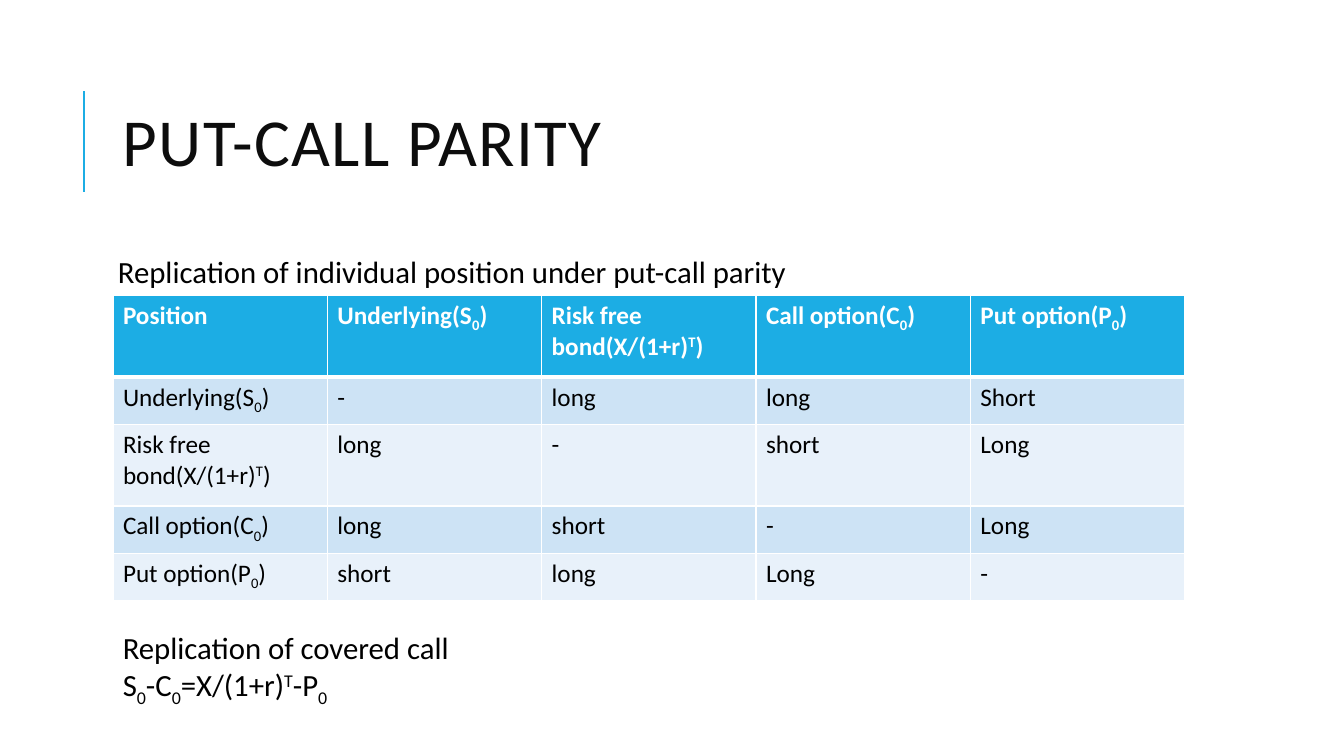
from lxml import etree
from pptx import Presentation
from pptx.dml.color import RGBColor
from pptx.enum.shapes import MSO_CONNECTOR
from pptx.enum.text import MSO_ANCHOR
from pptx.oxml.ns import qn
from pptx.util import Inches, Pt

FONT = "Calibri"
ACCENT, WHITE, BLACK, TITLE = "1CADE4", "FFFFFF", "000000", "0D0D0D"
BANDS = ("CDE3F5", "E8F1FA")
SHIFTS = {"_": "-25000", "^": "30000"}

# "_" lowers and "^" raises the character that follows
UNDERLYING, BOND = "Underlying(S_0)", "Risk free bond(X/(1+r)^T)"
CALL, PUT = "Call option(C_0)", "Put option(P_0)"
POSITIONS = [
    ["Position", UNDERLYING, BOND, CALL, PUT],
    [UNDERLYING, "-", "long", "long", "Short"],
    [BOND, "long", "-", "short", "Long"],
    [CALL, "long", "short", "-", "Long"],
    [PUT, "short", "long", "Long", "-"],
]
ROW_HEIGHTS = [0.81, 0.47, 0.81, 0.47, 0.47]


def rgb(value):
    return RGBColor.from_string(value)


def add_run(p, text, size, color, bold=False, shift=None):
    r = p.add_run()
    r.text = text
    r.font.name, r.font.size, r.font.bold = FONT, Pt(size), bold
    r.font.color.rgb = rgb(color)
    if shift:
        r.font._element.set("baseline", SHIFTS[shift])
    return r


def add_formula(p, text, size, color, bold=False):
    plain, shift = "", None
    for char in text:
        if char in SHIFTS:
            add_run(p, plain, size, color, bold)
            plain, shift = "", char
        elif shift:
            add_run(p, char, size, color, bold, shift)
            shift = None
        else:
            plain += char
    if plain:
        add_run(p, plain, size, color, bold)


def add_text_frame(slide, left, top, width, height):
    box = slide.shapes.add_textbox(*map(Inches, (left, top, width, height)))
    tf = box.text_frame
    tf.word_wrap = True
    return tf


def add_border(cell, side, points):
    ln = etree.SubElement(cell._tc.get_or_add_tcPr(), qn(f"a:ln{side}"), w=str(Pt(points)))
    fill = etree.SubElement(ln, qn("a:solidFill"))
    etree.SubElement(fill, qn("a:srgbClr"), val=WHITE)


def add_title(slide, left, top, width, height):
    # Accent rule beside the title
    x, y = left - 0.29, top + 0.26
    rule = slide.shapes.add_connector(
        MSO_CONNECTOR.STRAIGHT, Inches(x), Inches(y + 1), Inches(x), Inches(y))
    rule.line.color.rgb = rgb(ACCENT)
    rule.line.width = Pt(1.5)
    etree.SubElement(rule._element.spPr, qn("a:effectLst"))

    # Title text
    tf = add_text_frame(slide, left, top, width, height)
    tf.vertical_anchor = MSO_ANCHOR.MIDDLE
    p = tf.paragraphs[0]
    p.line_spacing = 0.8
    r = add_run(p, "PUT-CALL PARITY", 48, TITLE)
    r.font._element.set("spc", "100")


def add_intro(slide, left, top, width, height):
    tf = add_text_frame(slide, left, top, width, height)
    tf.margin_left = tf.margin_right = tf.margin_top = tf.margin_bottom = Inches(0.05)
    p = tf.paragraphs[0]
    p.line_spacing = 0.9
    add_run(p, "Replication of individual position under put-call parity", 22, BLACK)


def add_positions(slide, left, top, width, height):
    rows, cols = len(POSITIONS), len(POSITIONS[0])
    table = slide.shapes.add_table(
        rows, cols, *map(Inches, (left, top, width, height))).table
    for col in table.columns:
        col.width = Inches(width / cols)
    for i, texts in enumerate(POSITIONS):
        table.rows[i].height = Inches(ROW_HEIGHTS[i])
        header = i == 0
        for j, text in enumerate(texts):
            cell = table.cell(i, j)
            # The edge below the header is thicker
            for side, points in (("L", 1), ("R", 1), ("T", 3 if i == 1 else 1),
                                 ("B", 3 if header else 1)):
                add_border(cell, side, points)
            cell.fill.solid()
            cell.fill.fore_color.rgb = rgb(ACCENT if header else BANDS[(i - 1) % 2])
            add_formula(cell.text_frame.paragraphs[0], text, 18,
                        WHITE if header else BLACK, header)


def add_covered_call(slide, left, top, width, height):
    tf = add_text_frame(slide, left, top, width, height)
    add_run(tf.paragraphs[0], "Replication of covered call", 22, BLACK)
    add_formula(tf.add_paragraph(), "S_0-C_0=X/(1+r)^T-P_0", 22, BLACK)


def main():
    prs = Presentation()
    prs.slide_width, prs.slide_height = Inches(13.33), Inches(7.5)
    slide = prs.slides.add_slide(prs.slide_layouts[6])
    left, width = 1.12, 10.63
    add_title(slide, left, 0.64, width, 1.64)
    add_intro(slide, left, 2.5, width, 0.43)
    add_positions(slide, left, 2.93, width, sum(ROW_HEIGHTS))
    add_covered_call(slide, left, 6.19, width, 0.84)
    prs.save("out.pptx")


if __name__ == "__main__":
    main()
